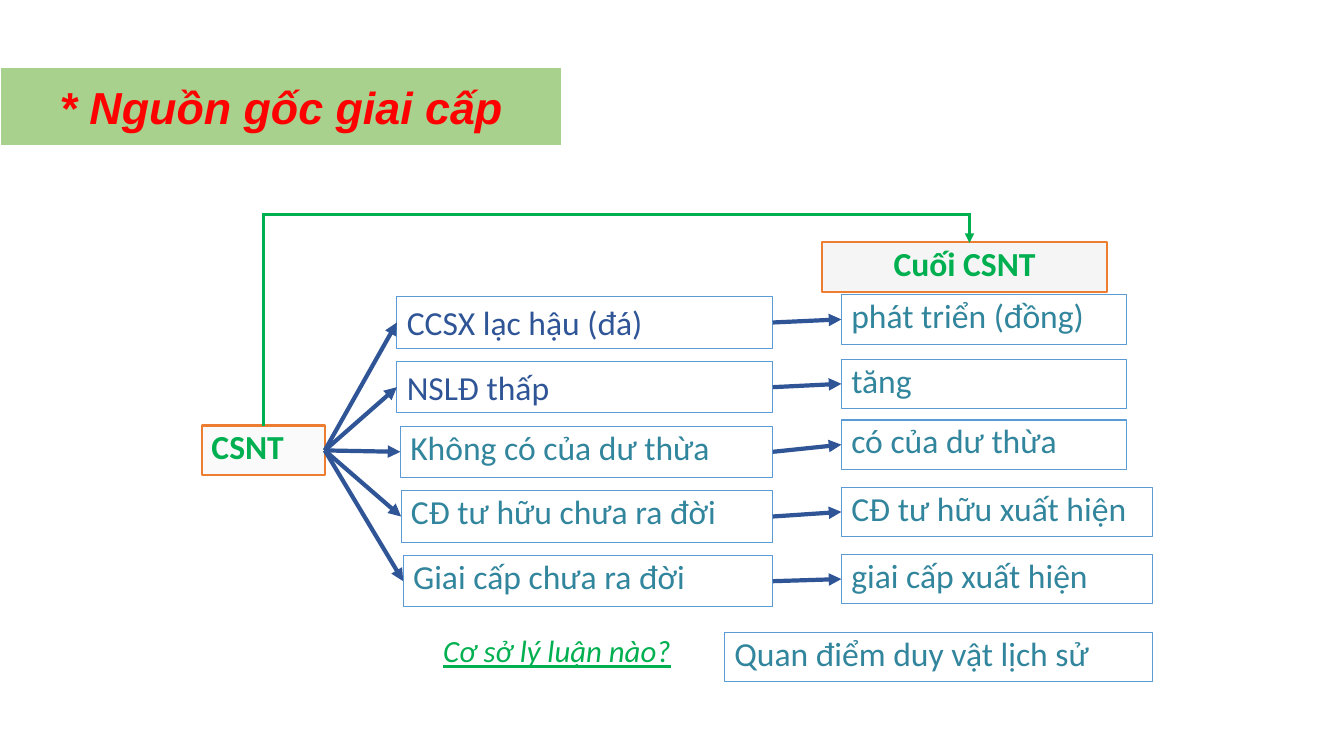
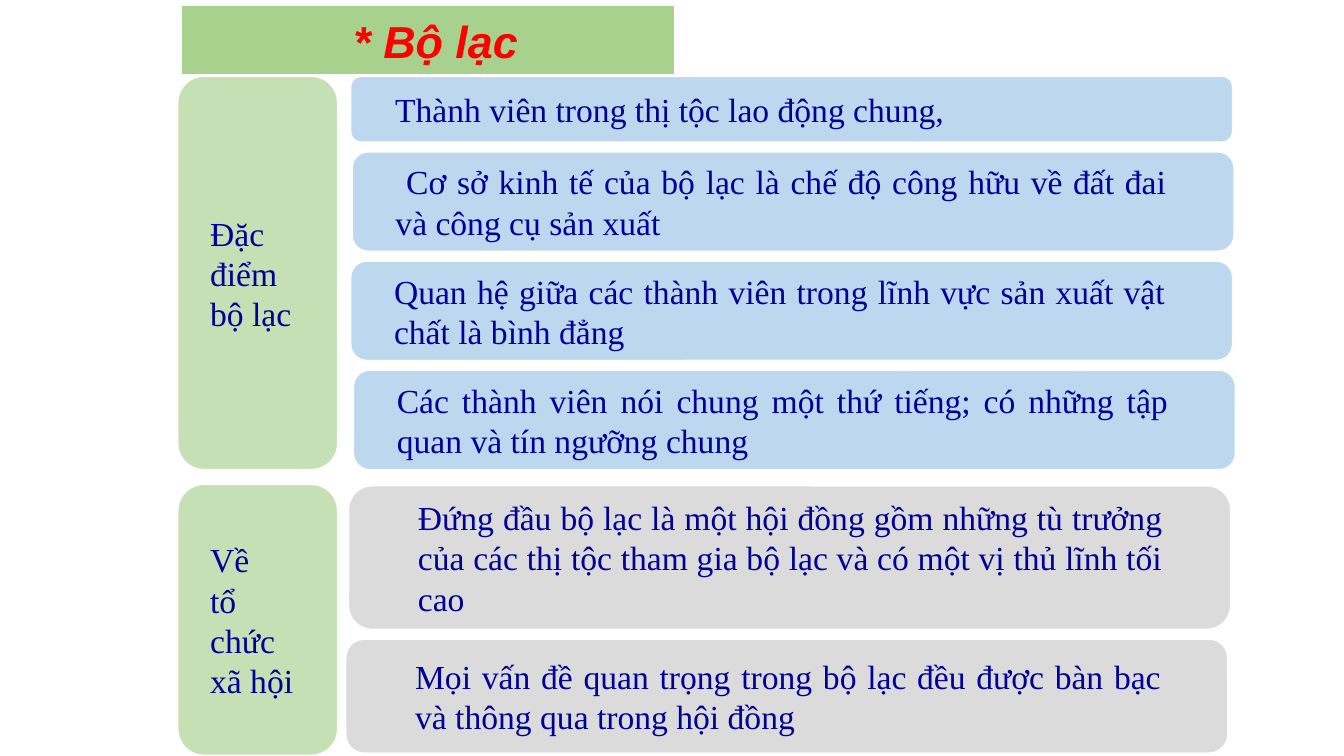
import pptx
import pptx.dml.color
import pptx.enum.shapes
import pptx.enum.text
import pptx.oxml
import pptx.oxml.ns
import pptx.util
import lxml.etree

Pt = pptx.util.Pt
RECTANGLE = pptx.enum.shapes.MSO_SHAPE.RECTANGLE
ROUNDED = pptx.enum.shapes.MSO_SHAPE.ROUNDED_RECTANGLE
STRAIGHT = pptx.enum.shapes.MSO_CONNECTOR.STRAIGHT
TOP = pptx.enum.text.MSO_ANCHOR.TOP
MIDDLE = pptx.enum.text.MSO_ANCHOR.MIDDLE
LEFT = pptx.enum.text.PP_ALIGN.LEFT
CENTER = pptx.enum.text.PP_ALIGN.CENTER
JUSTIFY = pptx.enum.text.PP_ALIGN.JUSTIFY

COLORS = {
    "band": "A9D18E",
    "title": "FF0000",
    "white": "FFFFFF",
    "green": "00B050",
    "orange": "ED7D31",
    "start fill": "FAFAFA",
    "end fill": "F5F5F5",
    "border": "5B9BD5",
    "navy": "2F5597",
    "teal": "31859C",
    "ink": "000099",
    "topic": "C5E0B4",
    "trait": "BDD7EE",
    "rule": "DBDBDB",
}
COLORS = {name: pptx.dml.color.RGBColor.from_string(value) for name, value in COLORS.items()}


def write(box, text, color="teal", font="Calibri", size=24, bold=False, italic=False,
          underline=False, align=LEFT, anchor=TOP, fill=None, outline="border",
          outline_width=0.75, side_margins=(7.2, 7.2), edge_margin=3.6,
          line_spacing=0.9, space_before=10):
    if fill:
        box.fill.solid()
        box.fill.fore_color.rgb = COLORS[fill]
    else:
        box.fill.background()
    if outline:
        box.line.color.rgb = COLORS[outline]
        box.line.width = Pt(outline_width)
    box.shadow.inherit = False
    frame = box.text_frame
    frame.word_wrap = True
    frame.auto_size = pptx.enum.text.MSO_AUTO_SIZE.NONE
    frame.vertical_anchor = anchor
    frame.margin_left, frame.margin_right = map(Pt, side_margins)
    frame.margin_top = frame.margin_bottom = Pt(edge_margin)
    frame.text = text
    for para in frame.paragraphs:
        para.alignment = align
        para.line_spacing = line_spacing
        para.space_before = Pt(space_before)
        for span in para.runs:
            span.font.name = font
            span.font.size = Pt(size)
            span.font.bold = bold
            span.font.italic = italic
            span.font.underline = underline
            span.font.color.rgb = COLORS[color]
    return box


def connect(page, start, end, color, width, arrow=True):
    points = [Pt(0)] * 4
    if isinstance(start, tuple):
        points[:2] = map(Pt, start)
    if isinstance(end, tuple):
        points[2:] = map(Pt, end)
    line = page.shapes.add_connector(STRAIGHT, *points)
    if isinstance(start, list):
        line.begin_connect(*start)
    if isinstance(end, list):
        line.end_connect(*end)
    line.line.color.rgb = COLORS[color]
    line.line.width = Pt(width)
    if arrow:
        tail = lxml.etree.SubElement(line.line._get_or_add_ln(), pptx.oxml.ns.qn("a:tailEnd"))
        tail.set("type", "triangle")
    lxml.etree.SubElement(line.element.spPr, pptx.oxml.ns.qn("a:effectLst"))


deck = pptx.Presentation()
deck.slide_width = Pt(960)
deck.slide_height = Pt(540)

pages = []
for heading, place, side_margins in [
    ("* Nguồn gốc giai cấp", (0, 47.5, 402, 57), (17, 17)),
    ("* Bộ lạc", (129, 3.6, 353.5, 50.4), (28, 17)),
]:
    page = deck.slides.add_slide(deck.slide_layouts[5])
    title = page.shapes.title
    title.left, title.top, title.width, title.height = map(Pt, place)
    geometry = lxml.etree.SubElement(title.element.spPr, pptx.oxml.ns.qn("a:prstGeom"))
    geometry.set("prst", "roundRect")
    lxml.etree.SubElement(geometry, pptx.oxml.ns.qn("a:avLst"))
    write(title, heading, color="title", font="Arial", size=32, bold=True, italic=True,
          align=CENTER, anchor=MIDDLE, fill="band", outline="white", outline_width=2,
          side_margins=side_margins, edge_margin=0, line_spacing=1, space_before=0)
    pages.append(page)

origin_page, tribe_page = pages

shapes = origin_page.shapes
start_box = write(shapes.add_shape(RECTANGLE, Pt(144), Pt(304), Pt(88), Pt(35.5)), "CSNT",
                  color="green", bold=True, fill="start fill", outline="orange", outline_width=1.5)
write(shapes.add_shape(RECTANGLE, Pt(587), Pt(173), Pt(204), Pt(35.5)), "Cuối CSNT",
      color="green", bold=True, align=CENTER, fill="end fill", outline="orange", outline_width=1.5)

plain = {"color": "navy", "line_spacing": 1, "space_before": 0}
before_right, after_left = 552, 601
for before, before_left, before_format, after, after_top, after_width in [
    ("CCSX lạc hậu (đá)", 283.5, plain, "phát triển (đồng)", 210.5, 204),
    ("NSLĐ thấp", 283.5, plain, "tăng", 256.5, 204),
    ("Không có của dư thừa", 286, {}, "có của dư thừa", 300, 204),
    ("CĐ tư hữu chưa ra đời", 286.5, {}, "CĐ tư hữu xuất hiện", 348, 222.5),
    ("Giai cấp chưa ra đời", 288, {}, "giai cấp xuất hiện", 396, 222.5),
]:
    before_top = 212 + 46.2 * (len(shapes) - 3) / 4
    before_box = write(shapes.add_shape(RECTANGLE, Pt(before_left), Pt(before_top),
                                        Pt(before_right - before_left), Pt(36.7)),
                       before, **before_format)
    after_box = write(shapes.add_shape(RECTANGLE, Pt(after_left), Pt(after_top),
                                       Pt(after_width), Pt(35.3)), after)
    connect(origin_page, [start_box, 3], [before_box, 1], "navy", 3)
    connect(origin_page, [before_box, 3], [after_box, 1], "navy", 3)

connect(origin_page, (188, 153.4), [start_box, 0], "green", 2.25, arrow=False)
connect(origin_page, (187, 153.4), (693.5, 153.4), "green", 2.25, arrow=False)
connect(origin_page, (692.5, 153.4), (692.5, 173.5), "green", 2.25)

write(shapes.add_textbox(Pt(309.5), Pt(451), Pt(222.5), Pt(35.3)), "Cơ sở lý luận nào?",
      color="green", size=22, italic=True, underline=True, outline=None)
write(shapes.add_shape(RECTANGLE, Pt(517.5), Pt(451.5), Pt(306), Pt(35.3)),
      "Quan điểm duy vật lịch sử")

for text, left, top, width, height, fill, side_margins in [
    ("Đặc điểm bộ lạc", 126.5, 54, 115.2, 282, "topic", (18, 18)),
    ("Thành viên trong thị tộc lao động chung,", 250, 54, 631, 48, "trait", (30, 45)),
    (" Cơ sở kinh tế của bộ lạc là chế độ công hữu về đất đai và công cụ sản xuất",
     251, 108, 631, 72, "trait", (28, 45)),
    ("Quan hệ giữa các thành viên trong lĩnh vực sản xuất vật chất là bình đẳng",
     250, 186, 631, 72, "trait", (28, 45)),
    ("Các thành viên nói chung một thứ tiếng; có những tập quan và tín ngưỡng chung",
     252, 264, 631, 72, "trait", (28, 45)),
    ("Về\ntổ chức xã hội", 126.5, 345.5, 115.2, 194.5, "topic", (18, 18)),
    ("Đứng đầu bộ lạc là một hội đồng gồm những tù trưởng của các thị tộc tham gia bộ lạc "
     "và có một vị thủ lĩnh tối cao", 248.5, 346.5, 631, 103.5, "rule", (45, 44)),
    ("Mọi vấn đề quan trọng trong bộ lạc đều được bàn bạc và thông qua trong hội đồng",
     246.5, 456, 631, 82.5, "rule", (46, 44)),
]:
    panel = tribe_page.shapes.add_shape(ROUNDED, Pt(left), Pt(top), Pt(width), Pt(height))
    write(panel, text, color="ink", font="Times New Roman", align=JUSTIFY, anchor=MIDDLE,
          fill=fill, outline="white", outline_width=2, side_margins=side_margins,
          edge_margin=0, line_spacing=1, space_before=0)

deck.save("out.pptx")
